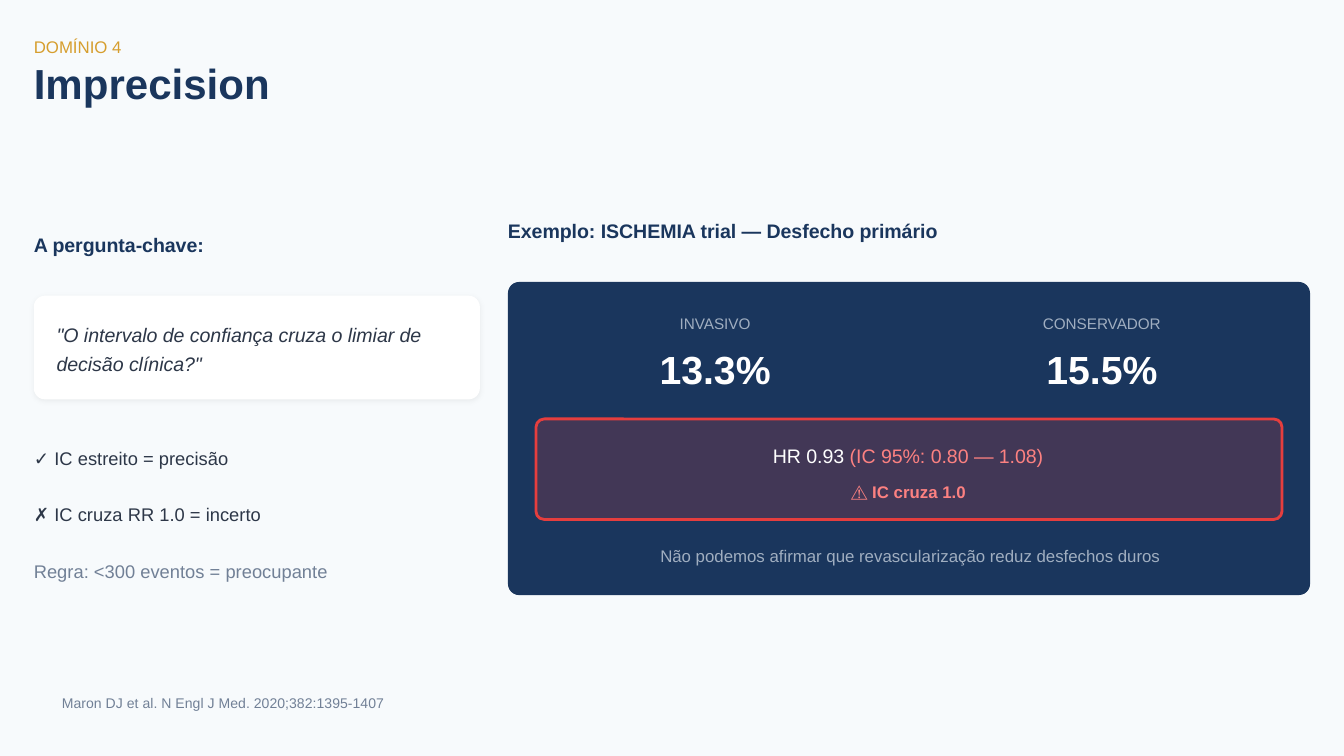
import pptx
import pptx.dml.color
import pptx.enum.shapes
import pptx.enum.text
import pptx.oxml
import pptx.oxml.ns
import pptx.util
from pptx.util import Cm

RGBColor = pptx.dml.color.RGBColor
BACKGROUND = RGBColor(0xF7, 0xFA, 0xFC)
NAVY = RGBColor(0x1A, 0x36, 0x5D)
GOLD = RGBColor(0xD6, 0x9E, 0x2E)
INK = RGBColor(0x2D, 0x37, 0x48)
GRAY = RGBColor(0x71, 0x80, 0x96)
LIGHT_GRAY = RGBColor(0xA0, 0xAE, 0xC0)
RED = RGBColor(0xE5, 0x3E, 0x3E)
SALMON = RGBColor(0xFC, 0x81, 0x81)
WHITE = RGBColor(0xFF, 0xFF, 0xFF)

FONT = "Arial"
LEFT = 0.64
RIGHT = 9.6
LEFT_WIDTH = 8.61


def add_text(slide, box, runs, size, leading, bold=False, italic=False, centered=False):
    """Place one paragraph; box is left, top, width, height in cm, runs are (text, colour)."""
    shape = slide.shapes.add_textbox(*map(Cm, box))
    frame = shape.text_frame
    frame.word_wrap = True
    frame.margin_left = frame.margin_right = frame.margin_top = frame.margin_bottom = 0
    paragraph = frame.paragraphs[0]
    paragraph.line_spacing = pptx.util.Pt(leading)
    if centered:
        paragraph.alignment = pptx.enum.text.PP_ALIGN.CENTER
    for text, color in runs:
        run = paragraph.add_run()
        run.text = text
        run.font.name = FONT
        run.font.size = pptx.util.Pt(size)
        run.font.bold = bold
        run.font.italic = italic
        run.font.color.rgb = color


def add_card(slide, box, radius, fill, line=None):
    """Place a rounded rectangle; radius is a share of its height."""
    shape = slide.shapes.add_shape(
        pptx.enum.shapes.MSO_SHAPE.ROUNDED_RECTANGLE, *map(Cm, box))
    shape.adjustments[0] = radius
    shape.shadow.inherit = False
    shape.fill.solid()
    shape.fill.fore_color.rgb = fill
    if line is None:
        shape.line.fill.background()
    else:
        shape.line.color.rgb = line
        shape.line.width = pptx.util.Pt(1.5)
    return shape


def set_opacity(shape, percent):
    color = shape.fill._xPr.find(".//" + pptx.oxml.ns.qn("a:srgbClr"))
    alpha = pptx.oxml.parse_xml(
        f'<a:alpha {pptx.oxml.ns.nsdecls("a")} val="{percent * 1000}"/>')
    color.append(alpha)


def add_soft_shadow(shape):
    effects = shape._element.spPr.find(pptx.oxml.ns.qn("a:effectLst"))
    effects.append(pptx.oxml.parse_xml(
        f'<a:outerShdw {pptx.oxml.ns.nsdecls("a")} blurRad="{pptx.util.Pt(3)}" '
        f'dist="{pptx.util.Pt(0.8)}" dir="5400000" algn="ctr" rotWithShape="0">'
        '<a:srgbClr val="000000"><a:alpha val="6000"/></a:srgbClr></a:outerShdw>'))


def add_header(slide):
    add_text(slide, (LEFT, 0.64, 24.61, 0.43), [("DOMÍNIO 4", GOLD)], 9, 12.6)
    add_text(slide, (LEFT, 1.24, 12.34, 0.79), [("Imprecision", NAVY)], 22.5, 22.5, bold=True)


def add_key_question(slide):
    add_text(slide, (LEFT, 4.32, LEFT_WIDTH, 0.51), [("A pergunta-chave:", NAVY)],
             10.5, 14.7, bold=True)

    # Quote card
    card = add_card(slide, (LEFT, 5.59, 8.43, 1.96), 0.108, WHITE)
    add_soft_shadow(card)
    quote = '"O intervalo de confiança cruza o limiar de decisão clínica?"'
    add_text(slide, (1.07, 5.99, 7.75, 1.12), [(quote, INK)], 10.5, 15.8, italic=True)

    # Reading rules
    rules = [
        ("✓ IC estreito = precisão", INK),
        ("✗ IC cruza RR 1.0 = incerto", INK),
        ("Regra: <300 eventos = preocupante", GRAY),
    ]
    for index, rule in enumerate(rules):
        add_text(slide, (LEFT, 8.38 + 1.07 * index, LEFT_WIDTH, 0.48), [rule], 9.8, 13.7)


def add_trial_example(slide):
    add_text(slide, (RIGHT, 4.06, 15.47, 0.51),
             [("Exemplo: ISCHEMIA trial — Desfecho primário", NAVY)], 10.5, 14.7, bold=True)
    add_card(slide, (RIGHT, 5.33, 15.16, 5.92), 0.036, NAVY)

    # Event rate of each arm
    for index, (arm, rate) in enumerate([("INVASIVO", "13.3%"), ("CONSERVADOR", "15.5%")]):
        left = 10.06 + 7.31 * index
        add_text(slide, (left, 5.87, 6.91, 0.41), [(arm, LIGHT_GRAY)], 8.2, 11.6, centered=True)
        add_text(slide, (left, 6.38, 6.91, 1.04), [(rate, WHITE)], 21, 29.4,
                 bold=True, centered=True)

    # Hazard ratio
    ratio_box = add_card(slide, (10.13, 7.92, 14.1, 1.9), 0.083, RED, line=RED)
    set_opacity(ratio_box, 20)
    add_text(slide, (10.36, 8.31, 13.61, 0.51),
             [("HR 0.93 ", WHITE), ("(IC 95%: 0.80 — 1.08)", SALMON)], 10.5, 14.7, centered=True)
    add_text(slide, (10.36, 9.04, 13.61, 0.43), [("⚠ IC cruza 1.0", SALMON)], 9, 12.6,
             bold=True, centered=True)

    # Conclusion
    conclusion = "Não podemos afirmar que revascularização reduz desfechos duros"
    add_text(slide, (10.01, 10.26, 14.38, 0.43), [(conclusion, LIGHT_GRAY)], 9, 12.6,
             centered=True)


def add_reference(slide):
    add_text(slide, (1.17, 13.08, 23.55, 0.38),
             [("Maron DJ et al. N Engl J Med. 2020;382:1395-1407", GRAY)], 7.5, 10.5)


def main():
    presentation = pptx.Presentation()
    presentation.slide_width = Cm(25.4)
    presentation.slide_height = Cm(14.29)
    slide = presentation.slides.add_slide(presentation.slide_layouts[6])
    slide.background.fill.solid()
    slide.background.fill.fore_color.rgb = BACKGROUND
    add_header(slide)
    add_key_question(slide)
    add_trial_example(slide)
    add_reference(slide)
    presentation.save("out.pptx")


if __name__ == "__main__":
    main()
